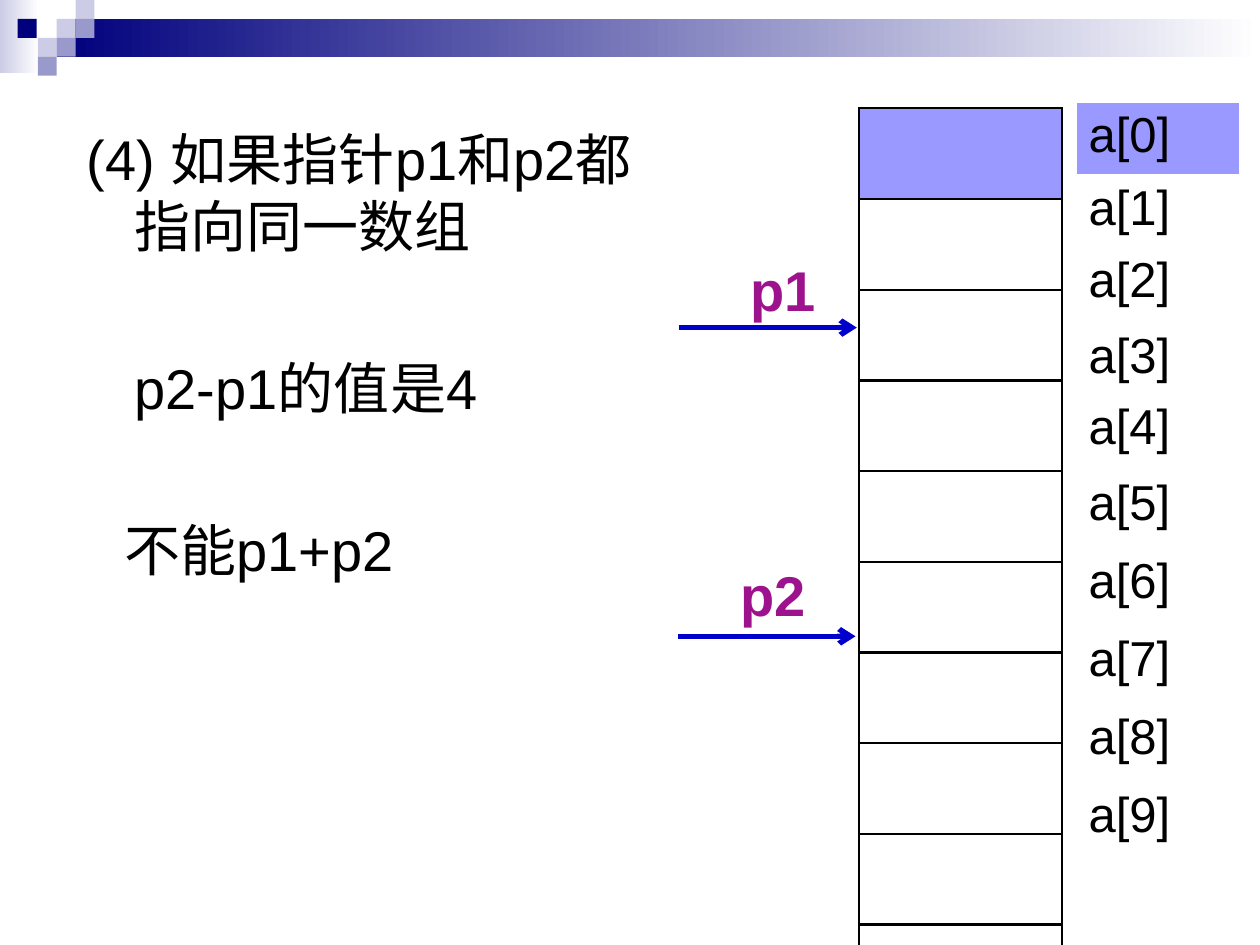
from pptx import Presentation, util as u
from pptx.dml.color import RGBColor
from pptx.enum import shapes as sh
from pptx.oxml import parse_xml
from pptx.oxml.ns import nsdecls, qn
from lxml import etree

IN = u.Inches


def hue(code):
    return RGBColor.from_string(code)


def style(para, size, code, bold=False):
    para.font.name = "Arial"
    para.font.size = u.Pt(size)
    para.font.bold = bold
    para.font.color.rgb = hue(code)


deck = Presentation()
deck.slide_width, deck.slide_height = IN(10), IN(7.5)
slide = deck.slides.add_slide(deck.slide_layouts[6])
items = slide.shapes

unit = 0.15
bars = [
    (0, 0, 0.31, 0.58, "CCCCE6", "FFFFFF"),
    (0.45, unit, 9.55, 0.3, "00007D", "FFFFFF"),
]
tiles = [
    (0.45, 0.15, "CCCCE6"), (0.6, 0, "CCCCE6"), (0.6, 0.15, "9999CC"),
    (0.3, 0.3, "CCCCE6"), (0.14, 0.15, "00007D"), (0.45, 0.3, "9999CC"),
    (0.3, 0.45, "9999CC"),
]
bars += [(x, y, unit, unit, code, None) for x, y, code in tiles]
for x, y, w, h, code, fade in bars:
    box = items.add_shape(sh.MSO_SHAPE.RECTANGLE, IN(x), IN(y), IN(w), IN(h))
    box.shadow.inherit = False
    box.line.fill.background()
    if fade:
        box.fill.gradient()
        box.fill.gradient_angle = 0
        for stop, shade in zip(box.fill.gradient_stops, (code, fade)):
            stop.color.rgb = hue(shade)
    else:
        box.fill.solid()
        box.fill.fore_color.rgb = hue(code)

notes = [
    ("(4) 如果指针p1和p2都指向同一数组", 0.38, -0.38, 0),
    ("p2-p1的值是4", 0.38, 0, 54),
    ("不能p1+p2", 0.3, 0, 54),
]
body = items.add_textbox(IN(0.59), IN(0.94), IN(4.64), IN(4.92)).text_frame
body.word_wrap = True
for i, (words, left, first, gap) in enumerate(notes):
    para = body.add_paragraph() if i else body.paragraphs[0]
    para.text = words
    props = para._p.get_or_add_pPr()
    props.set("marL", str(IN(left)))
    props.set("indent", str(IN(first)))
    para.space_before = u.Pt(gap)
    style(para, 32, "000000")

steps = [0.58, 0.57, 0.6, 0.57, 0.6, 0.62, 0.62, 0.62, 0.62, 0.57]
grids = [
    (8.54, 0.81, 1.3, steps, True),
    (6.82, 0.86, 1.61, [0.72] * 10, False),
]
for x, y, w, rows, named in grids:
    frame = items.add_table(len(rows), 1, IN(x), IN(y), IN(w), IN(sum(rows)))
    grid = frame.table
    grid.first_row = grid.horz_banding = False
    for i, high in enumerate(rows):
        grid.rows[i].height = IN(high)
        cell = grid.cell(i, 0)
        if named:
            cell.text = f"a[{i}]"
            style(cell.text_frame.paragraphs[0], 28, "000000")
        else:
            for side in ("lnL", "lnR", "lnT", "lnB"):
                cell._tc.get_or_add_tcPr().append(parse_xml(
                    f'<a:{side} {nsdecls("a")} w="{u.Pt(1.47)}"><a:solidFill>'
                    f'<a:srgbClr val="000000"/></a:solidFill></a:{side}>'))
        cell.fill.solid()
        cell.fill.fore_color.rgb = hue("FFFFFF" if i else "9999FF")

marks = [
    ("p1", 5.86, 1.98, 0.78, 5.39, 2.6),
    ("p2", 5.78, 4.4, 0.94, 5.38, 5.05),
]
for name, x, y, w, start, level in marks:
    tag = items.add_textbox(IN(x), IN(y), IN(w), IN(0.64)).text_frame
    tag.word_wrap = True
    tag.text = name
    style(tag.paragraphs[0], 32, "9D138D", True)
    arrow = items.add_connector(sh.MSO_CONNECTOR.STRAIGHT, IN(start), IN(level),
                                IN(start + 1.41), IN(level))
    arrow.line.color.rgb = hue("0000CC")
    arrow.line.width = u.Pt(3)
    etree.SubElement(arrow.line._get_or_add_ln(), qn("a:tailEnd"), type="arrow")
    etree.SubElement(arrow._element.spPr, qn("a:effectLst"))

deck.save("out.pptx")
